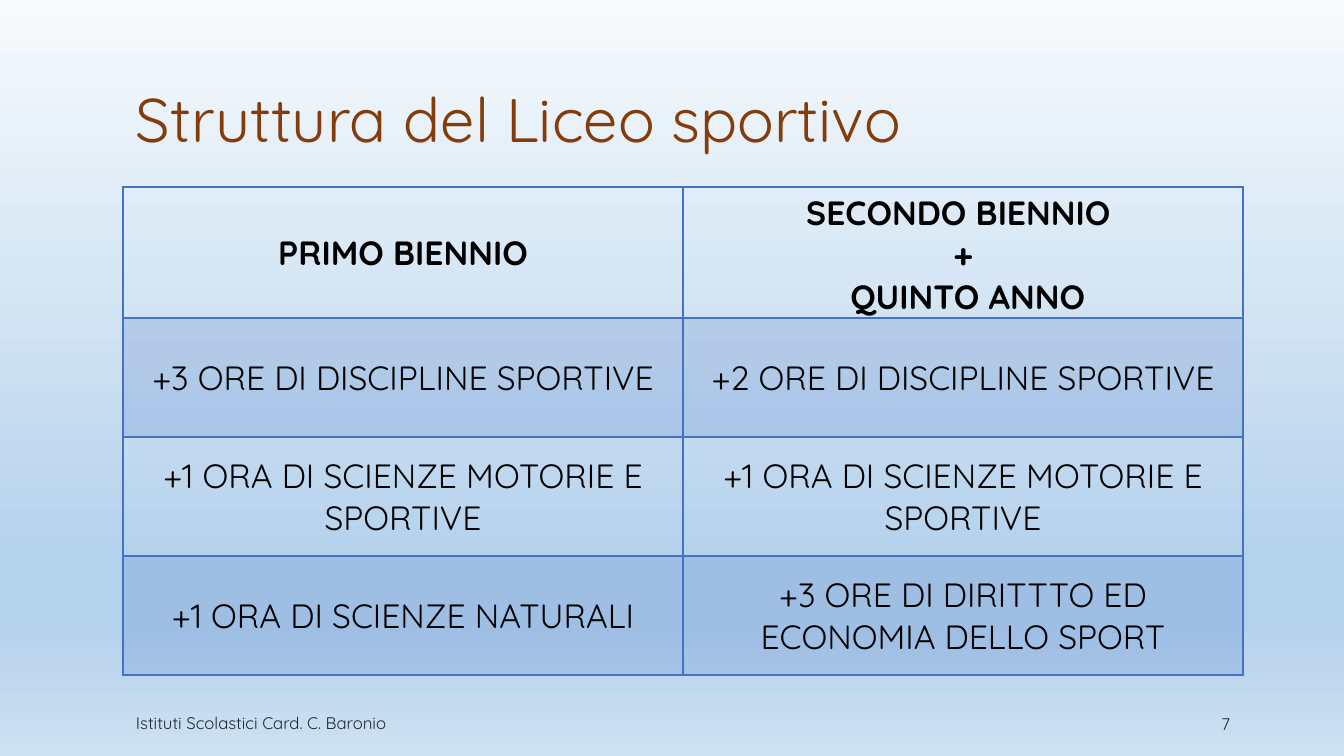
from pptx import Presentation
from pptx.dml.color import RGBColor
from pptx.enum.text import MSO_ANCHOR, PP_ALIGN
from pptx.oxml.ns import qn
from pptx.util import Pt
from lxml.etree import SubElement

SCALE = 9071.43  # EMU per pixel
FONT = "Quicksand"
BLUE, BLACK, BROWN, SLATE = "4472C4", "000000", "843C0B", "222A35"
GRADIENT = [(0, "F7FAFD"), (74, "B5D2EC"), (83, "B5D2EC"), (100, "CEE1F2")]
ROWS = [
    (["PRIMO BIENNIO"], ["SECONDO BIENNIO ", "+", " QUINTO ANNO"]),
    (["+3 ORE DI DISCIPLINE SPORTIVE"], ["+2 ORE DI DISCIPLINE SPORTIVE"]),
    (["+1 ORA DI SCIENZE MOTORIE E SPORTIVE"],) * 2,
    (["+1 ORA DI SCIENZE NATURALI"],
     ["+3 ORE DI DIRITTTO ED ECONOMIA DELLO SPORT"]),
]


def px(pixels):
    return round(pixels * SCALE)


def color(value):
    return RGBColor.from_string(value)


def paint_background(slide):
    fill = slide.background.fill
    fill.gradient()
    fill.gradient_angle = 270
    stops = slide.element.find(".//" + qn("a:gsLst"))
    for stop in list(stops):
        stops.remove(stop)
    for position, value in GRADIENT:
        stop = SubElement(stops, qn("a:gs"), pos=str(position * 1000))
        SubElement(stop, qn("a:srgbClr"), val=value)


def write(frame, lines, size, value, align=PP_ALIGN.LEFT, bold=False, spacing=1.0):
    for index, line in enumerate(lines):
        paragraph = frame.add_paragraph() if index else frame.paragraphs[0]
        paragraph.alignment = align
        paragraph.line_spacing = spacing
        run = paragraph.add_run()
        run.text = line
        run.font.name = FONT
        run.font.size = Pt(size)
        run.font.bold = bold
        run.font.color.rgb = color(value)


def add_text(slide, box, text, size, value, **style):
    frame = slide.shapes.add_textbox(*map(px, box)).text_frame
    frame.word_wrap = True
    frame.vertical_anchor = MSO_ANCHOR.BOTTOM
    frame.margin_left = frame.margin_right = px(13)
    frame.margin_top = frame.margin_bottom = px(7)
    write(frame, [text], size, value, **style)


def set_borders(cell, widths):
    properties = cell._tc.get_or_add_tcPr()
    for index, (side, width) in enumerate(widths.items()):
        line = SubElement(properties, qn("a:ln" + side), w=str(Pt(width)))
        fill = SubElement(line, qn("a:solidFill"))
        SubElement(fill, qn("a:srgbClr"), val=BLUE)
        properties.insert(index, line)  # borders come before the fill


def fill_cell(cell, banded):
    if not banded:
        cell.fill.background()
        return
    cell.fill.solid()
    cell.fill.fore_color.rgb = color(BLUE)
    tint = cell._tc.tcPr.find(".//" + qn("a:srgbClr"))
    SubElement(tint, qn("a:alpha"), val="20000")


def add_hours_table(slide, left, top, column_width, row_height):
    table = slide.shapes.add_table(
        len(ROWS), 2, px(left), px(top),
        px(2 * column_width), px(len(ROWS) * row_height)).table
    table.first_row = table.horz_banding = False
    for row_index, row in enumerate(ROWS):
        table.rows[row_index].height = px(row_height)
        header = row_index == 0
        for column_index, lines in enumerate(row):
            cell = table.cell(row_index, column_index)
            cell.vertical_anchor = MSO_ANCHOR.MIDDLE
            write(cell.text_frame, lines, 24, BLACK, PP_ALIGN.CENTER, header)
            fill_cell(cell, banded=row_index % 2 == 1)
            set_borders(cell, {"L": 1, "R": 1, "T": 2 if row_index == 1 else 1,
                               "B": 2 if header else 1})


def main():
    presentation = Presentation()
    presentation.slide_width, presentation.slide_height = px(1344), px(756)
    slide = presentation.slides.add_slide(presentation.slide_layouts[6])
    paint_background(slide)

    # Title
    add_text(slide, (123, 8, 1120, 154), "Struttura del Liceo sportivo",
             44, BROWN, spacing=0.85)

    # Extra hours by school stage
    add_hours_table(slide, 123, 187, 560, 119)

    # Footer and slide number
    add_text(slide, (123, 705, 685, 35), "Istituti Scolastici Card. C. Baronio",
             12, SLATE)
    add_text(slide, (1121, 706, 122, 35), "7", 12, SLATE, align=PP_ALIGN.RIGHT)

    presentation.save("out.pptx")


main()
